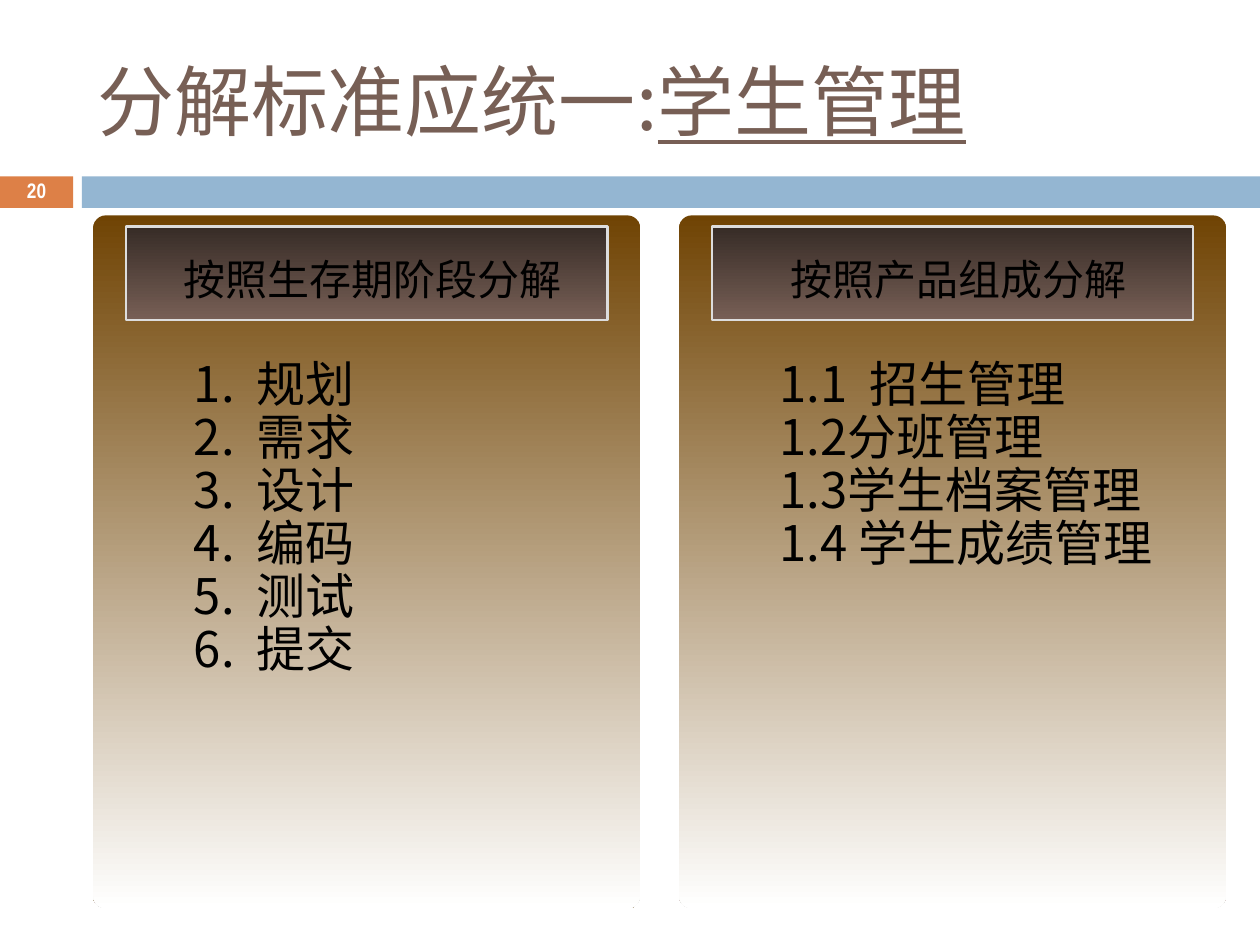
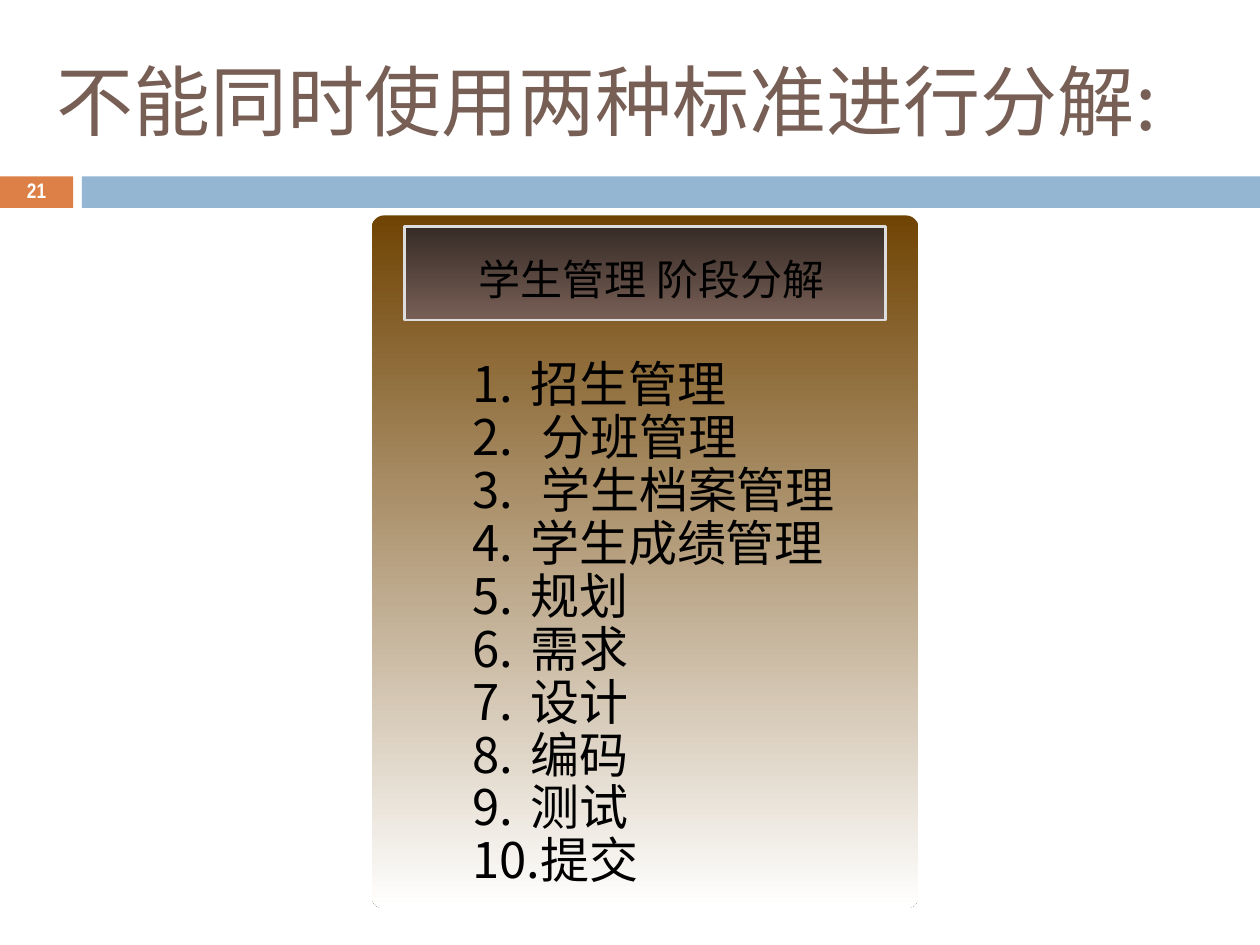
from dataclasses import dataclass
from lxml import etree
from pptx import Presentation
from pptx.dml.color import RGBColor
from pptx.enum.shapes import MSO_SHAPE
from pptx.enum.text import MSO_ANCHOR, MSO_AUTO_SIZE, PP_ALIGN
from pptx.oxml.ns import qn
from pptx.util import Inches, Pt

RECTANGLE = MSO_SHAPE.RECTANGLE
ROUNDED = MSO_SHAPE.ROUNDED_RECTANGLE
MIDDLE, TOP = MSO_ANCHOR.MIDDLE, MSO_ANCHOR.TOP
LEFT, CENTER = PP_ALIGN.LEFT, PP_ALIGN.CENTER


@dataclass(frozen=True)
class Theme:
    title_color: str = "775F55"
    number_band: str = "DD8047"
    title_band: str = "94B6D2"
    panel_top: str = "704404"
    panel_bottom: str = "FFFFFF"
    header_top: str = "372C27"
    header_bottom: str = "775F55"
    header_line: str = "DDDDDD"
    text: str = "000000"
    number_text: str = "FFFFFF"
    heading_font: str = "Noto Sans CJK SC"
    list_font: str = "Noto Sans CJK JP"
    number_font: str = "Arial Narrow"
    title_size: int = 44
    list_size: int = 28
    header_size: int = 24
    number_size: int = 12


theme = Theme()


def add_box(slide, kind, left, top, width, height, colors):
    shape = slide.shapes.add_shape(kind, Inches(left), Inches(top), Inches(width), Inches(height))
    shape.shadow.inherit = False
    shape.line.fill.background()
    if len(colors) == 1:
        shape.fill.solid()
        shape.fill.fore_color.rgb = RGBColor.from_string(colors[0])
    else:
        shape.fill.gradient()
        shape.fill.gradient_angle = 270
        for stop, color in zip(shape.fill.gradient_stops, colors):
            stop.color.rgb = RGBColor.from_string(color)
    return shape


def write_text(shape, place, paragraphs, font, size, color, align=LEFT, anchor=TOP,
               spacing=1.0, bold=False, margin=0, indent=0, numbered=False):
    shape.left, shape.top, shape.width, shape.height = [Inches(value) for value in place]
    frame = shape.text_frame
    frame.word_wrap = True
    frame.auto_size = MSO_AUTO_SIZE.NONE
    frame.vertical_anchor = anchor
    for index, runs in enumerate(paragraphs):
        paragraph = frame.add_paragraph() if index else frame.paragraphs[0]
        paragraph.alignment = align
        paragraph.line_spacing = spacing
        paragraph.space_before = Pt(0)
        properties = paragraph._p.get_or_add_pPr()
        properties.set("marL", str(Inches(margin)))
        properties.set("indent", str(Inches(indent)))
        if numbered:
            bullet_color = etree.SubElement(properties, qn("a:buClr"))
            etree.SubElement(bullet_color, qn("a:srgbClr"), val=color)
            etree.SubElement(properties, qn("a:buFont"), typeface=font)
            etree.SubElement(properties, qn("a:buAutoNum"), type="arabicPeriod")
        for text, underline in runs:
            run = paragraph.add_run()
            run.text = text
            run.font.name = font
            run.font.size = Pt(size)
            run.font.bold = bold
            run.font.underline = underline
            run.font.color.rgb = RGBColor.from_string(color)
            latin = run._r.rPr.find(qn("a:latin"))
            latin.addnext(etree.Element(qn("a:ea"), typeface=font))


phases = ["规划", "需求", "设计", "编码", "测试", "提交"]
slides = [
    {
        "number": "20",
        "title": [("分解标准应统一:", False), ("学生管理", True)],
        "title_place": (0.67, 0.25, 8.92, 1.08),
        "panels": [
            (0.74, "按照生存期阶段分解", phases, 1, -0.5, True),
            (5.39, "按照产品组成分解",
             ["1.1  招生管理", "1.2分班管理", "1.3学生档案管理", "1.4 学生成绩管理"], 0.5, 0, False),
        ],
    },
    {
        "number": "21",
        "title": [("不能同时使用两种标准进行分解:", False)],
        "title_place": (0.35, 0.25, 9.38, 1.08),
        "panels": [
            (2.95, "学生管理 阶段分解",
             ["招生管理", " 分班管理", " 学生档案管理", "学生成绩管理"] + phases, 0.96, -0.46, True),
        ],
    },
]

presentation = Presentation()
presentation.slide_width, presentation.slide_height = Inches(10), Inches(7.5)

for content in slides:
    slide = presentation.slides.add_slide(presentation.slide_layouts[5])
    write_text(slide.shapes.title, content["title_place"], [content["title"]], theme.heading_font,
               theme.title_size, theme.title_color, anchor=MIDDLE)
    add_box(slide, RECTANGLE, 0.65, 1.4, 9.35, 0.25, [theme.title_band])
    number_band = add_box(slide, RECTANGLE, 0, 1.4, 0.58, 0.25, [theme.number_band])
    write_text(number_band, (0, 1.4, 0.58, 0.25), [[(content["number"], False)]], theme.number_font,
               theme.number_size, theme.number_text, CENTER, MIDDLE, 0.8, True)

    for left, heading, items, margin, indent, numbered in content["panels"]:
        panel = add_box(slide, ROUNDED, left, 1.71, 4.34, 5.5, [theme.panel_top, theme.panel_bottom])
        panel.adjustments[0] = 0.1 / 4.34
        item_list = slide.shapes.add_textbox(0, 0, 0, 0)
        write_text(item_list, (left + 0.2, 2.81, 4.05, 0.57 + 0.42 * len(items)),
                   [[(item, False)] for item in items], theme.list_font, theme.list_size, theme.text,
                   spacing=0.9, margin=margin, indent=indent, numbered=numbered)
        header = add_box(slide, RECTANGLE, left + 0.26, 1.8, 3.82, 0.74,
                         [theme.header_top, theme.header_bottom])
        header.line.color.rgb = RGBColor.from_string(theme.header_line)
        header.line.width = Pt(1.5)
        header_text = slide.shapes.add_textbox(0, 0, 0, 0)
        write_text(header_text, (left + 0.5, 1.96, 3.44, 0.5), [[(heading, False)]],
                   theme.heading_font, theme.header_size, theme.text, CENTER)

presentation.save("out.pptx")
